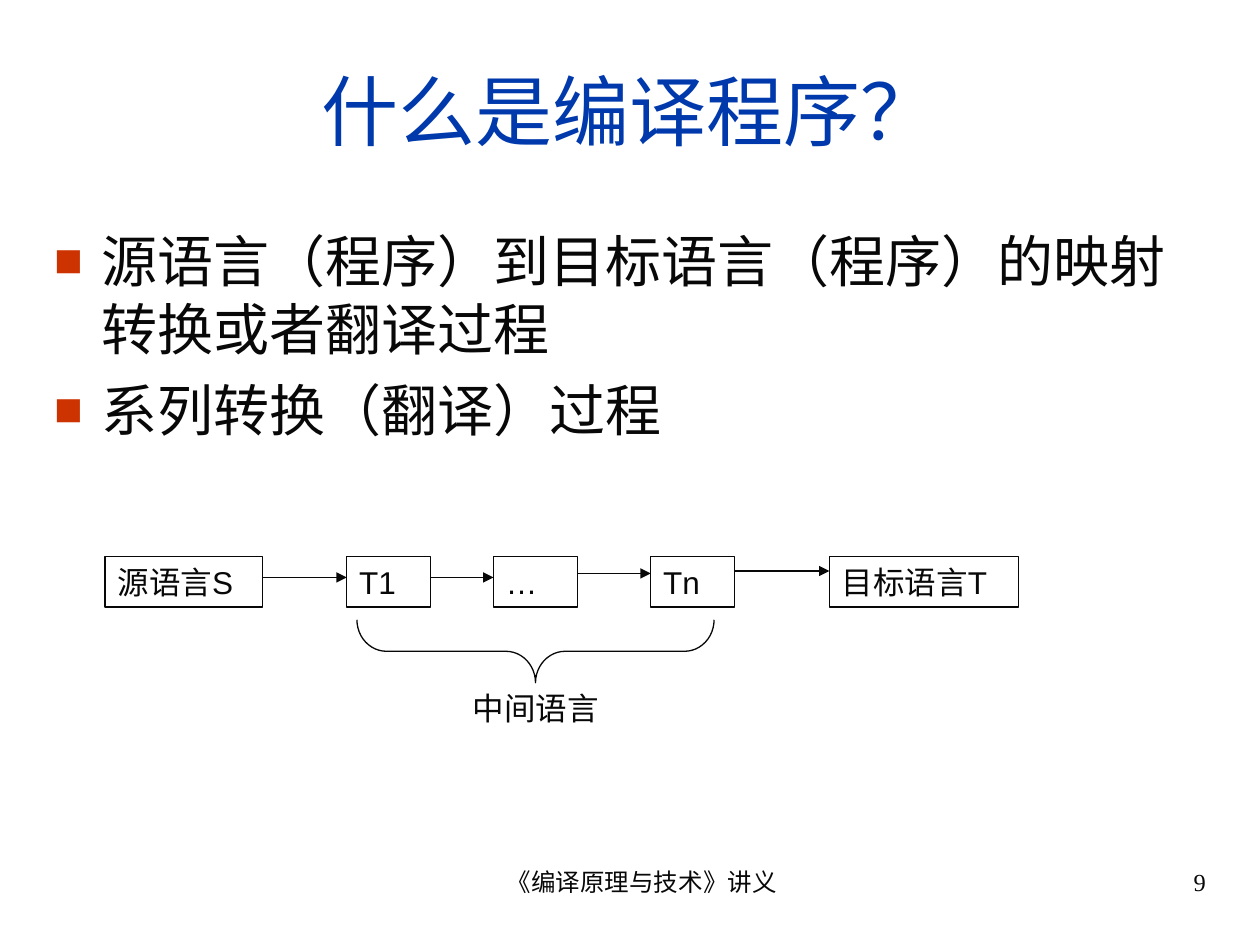
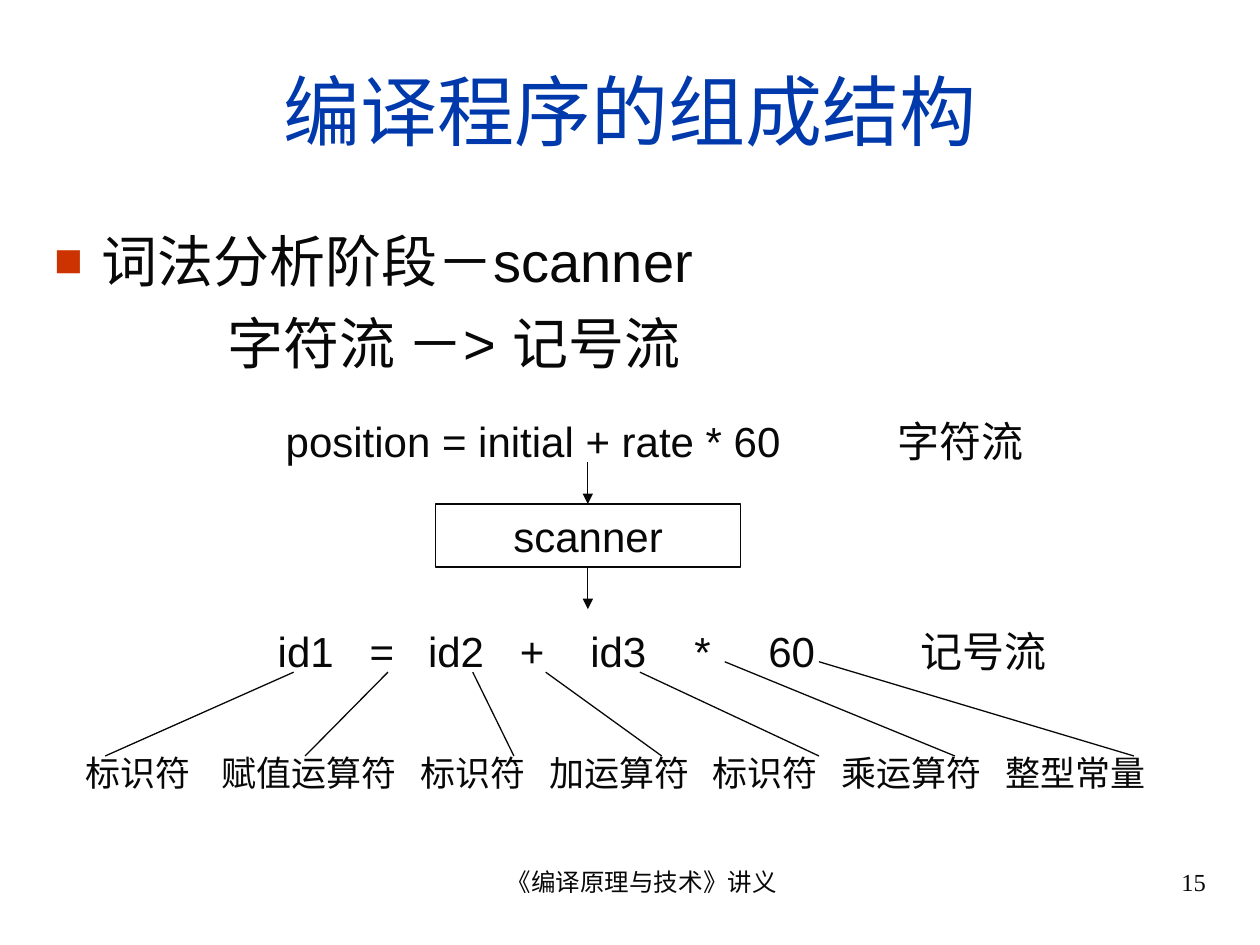
from lxml import etree
from pptx import Presentation
from pptx.dml.color import RGBColor
from pptx.enum.shapes import MSO_CONNECTOR, MSO_SHAPE
from pptx.enum.text import MSO_ANCHOR, PP_ALIGN
from pptx.oxml.ns import qn
from pptx.util import Cm, Pt

INK, BLUE, RED = "080808", "0039AC", "CC3300"
LINE_WIDTH = 0.75
FOOTER = "《编译原理与技术》讲义"

# Slide 9: left, width and text of each box; height of the arrow leaving each box
STAGE_TOP, STAGE_H = 11.22, 1.02
STAGES = [(2.12, 3.18, "源语言S"), (6.99, 1.69, "T1"), (9.95, 1.69, "…"),
          (13.12, 1.69, "Tn"), (16.72, 3.81, "目标语言T")]
STAGE_ARROW_Y = [11.64, 11.64, 11.56, 11.51]

# Slide 15: token, its x, its kind, the kind's x, line top (x, y), line bottom x
TOKENS = [
    ("id1", 5.6, "标识符", 1.73, (5.92, 13.55), 2.12),
    ("=", 7.45, "赋值运算符", 4.46, (7.82, 13.55), 6.15),
    ("id2", 8.63, "标识符", 8.48, (9.53, 13.55), 10.36),
    ("+", 10.48, "加运算符", 11.07, (11, 13.55), 13.34),
    ("id3", 11.9, "标识符", 14.37, (12.9, 13.55), 16.51),
    ("*", 14.0, "乘运算符", 16.97, (14.61, 13.34), 19.25),
    ("60", 15.49, "整型常量", 20.27, (16.51, 13.34), 22.86),
]
TOKEN_STREAM = ("记号流", 18.55)
CHAR_STREAM = [("position = initial + rate * 60", 5.76), ("字符流", 18.1)]
KIND_LINE_Y = 15.24
SCANNER_X = 11.85


def rgb(color):
    return RGBColor.from_string(color)


def add_bullet(pPr):
    clr = etree.SubElement(pPr, qn("a:buClr"))
    etree.SubElement(clr, qn("a:srgbClr"), val=RED)
    etree.SubElement(pPr, qn("a:buSzPct"), val="85000")
    etree.SubElement(pPr, qn("a:buFont"), typeface="Arial")
    etree.SubElement(pPr, qn("a:buChar"), char="■")


def write(tf, text, size=18, color=INK, font="Arial", align=PP_ALIGN.LEFT,
          anchor=MSO_ANCHOR.TOP, indent=0, hanging=0, bullet=False, before=0):
    """Fill the empty first paragraph of a frame, or append one more."""
    tf.word_wrap = True
    tf.vertical_anchor = anchor
    p = tf.paragraphs[0] if not tf.text else tf.add_paragraph()
    pPr = p._p.get_or_add_pPr()
    pPr.set("marL", str(Cm(indent)))
    pPr.set("indent", str(-Cm(hanging)))
    if bullet:
        add_bullet(pPr)
    p.alignment = align
    if before:
        p.space_before = Pt(before)
    r = p.add_run()
    r.text = text
    r.font.size, r.font.name = Pt(size), font
    r.font.color.rgb = rgb(color)


def add_text(s, x, y, w, h, text, **fmt):
    tf = s.shapes.add_textbox(Cm(x), Cm(y), Cm(w), Cm(h)).text_frame
    write(tf, text, **fmt)
    return tf


def add_row(s, y, h, right, items, size):
    """One line of labels, each reaching from its x to the next one's x."""
    ends = [x for _, x in items[1:]] + [right]
    for (text, x), end in zip(items, ends):
        tf = add_text(s, x, y, end - x, h, text, size=size)
        tf.margin_left = tf.margin_right = 0


def add_outline(s, kind, x, y, w, h):
    sp = s.shapes.add_shape(kind, Cm(x), Cm(y), Cm(w), Cm(h))
    sp.shadow.inherit = False
    sp.fill.background()
    sp.line.color.rgb = rgb(INK)
    sp.line.width = Pt(LINE_WIDTH)
    return sp


def add_line(s, x1, y1, x2, y2, arrow=False):
    c = s.shapes.add_connector(MSO_CONNECTOR.STRAIGHT, Cm(x1), Cm(y1), Cm(x2), Cm(y2))
    c.line.color.rgb = rgb(INK)
    c.line.width = Pt(LINE_WIDTH)
    if arrow:
        etree.SubElement(c.line._get_or_add_ln(), qn("a:tailEnd"), type="triangle")
    etree.SubElement(c._element.spPr, qn("a:effectLst"))


def add_slide(prs, title, number):
    s = prs.slides.add_slide(prs.slide_layouts[6])
    add_text(s, 0.84, 0.62, 23.72, 3.18, title, size=44, color=BLUE,
             align=PP_ALIGN.CENTER, anchor=MSO_ANCHOR.MIDDLE)
    small = dict(size=14, font="Times New Roman", indent=0.45)
    add_text(s, 8.69, 17.35, 8.05, 1.32, FOOTER, align=PP_ALIGN.CENTER, **small)
    add_text(s, 18.21, 17.35, 6.35, 1.32, str(number), align=PP_ALIGN.RIGHT, **small)
    return s


def add_body(s, h, first, second, **second_fmt):
    item = dict(size=32, indent=0.95, hanging=0.95, bullet=True)
    tf = add_text(s, 0.84, 4.45, 23.72, h, first, **item)
    write(tf, second, before=8, **(item | second_fmt))


def build_definition(prs):
    s = add_slide(prs, "什么是编译程序？", 9)
    add_body(s, 5.08, "源语言（程序）到目标语言（程序）的映射转换或者翻译过程",
             "系列转换（翻译）过程")
    for x, w, text in STAGES:
        box = add_outline(s, MSO_SHAPE.RECTANGLE, x, STAGE_TOP, w, STAGE_H)
        write(box.text_frame, text)
    for (x, w, _), (next_x, _, _), y in zip(STAGES, STAGES[1:], STAGE_ARROW_Y):
        add_line(s, x + w, y, next_x, y, arrow=True)
    brace = add_outline(s, MSO_SHAPE.RIGHT_BRACE, 10.16, 9.53, 1.27, 7.2)
    brace.adjustments[0] = 0.47
    brace.rotation = 90
    add_text(s, 8.69, 13.76, 4.23, 1.02, "中间语言", align=PP_ALIGN.CENTER)


def build_scanner(prs):
    s = add_slide(prs, "编译程序的组成结构", 15)
    add_body(s, 3.39, "词法分析阶段－scanner", "字符流 －> 记号流",
             indent=3.49, hanging=0, bullet=False)
    add_row(s, 8.26, 1.27, 22.22, CHAR_STREAM, 24)
    box = add_outline(s, MSO_SHAPE.RECTANGLE, 8.78, 10.16, 6.15, 1.27)
    write(box.text_frame, "scanner", size=24, align=PP_ALIGN.CENTER)
    for top, bottom in [(9.31, 10.16), (11.43, 12.28)]:
        add_line(s, SCANNER_X, top, SCANNER_X, bottom, arrow=True)
    add_row(s, 12.49, 1.27, 22.01,
            [(token, x) for token, x, *_ in TOKENS] + [TOKEN_STREAM], 24)
    add_row(s, 15.03, 1.11, 24.13, [(kind, x) for _, _, kind, x, *_ in TOKENS], 20)
    for *_, (top_x, top_y), bottom_x in TOKENS:
        add_line(s, top_x, top_y, bottom_x, KIND_LINE_Y)


def main():
    prs = Presentation()
    prs.slide_width, prs.slide_height = Cm(25.4), Cm(19.05)
    build_definition(prs)
    build_scanner(prs)
    prs.save("out.pptx")


if __name__ == "__main__":
    main()
